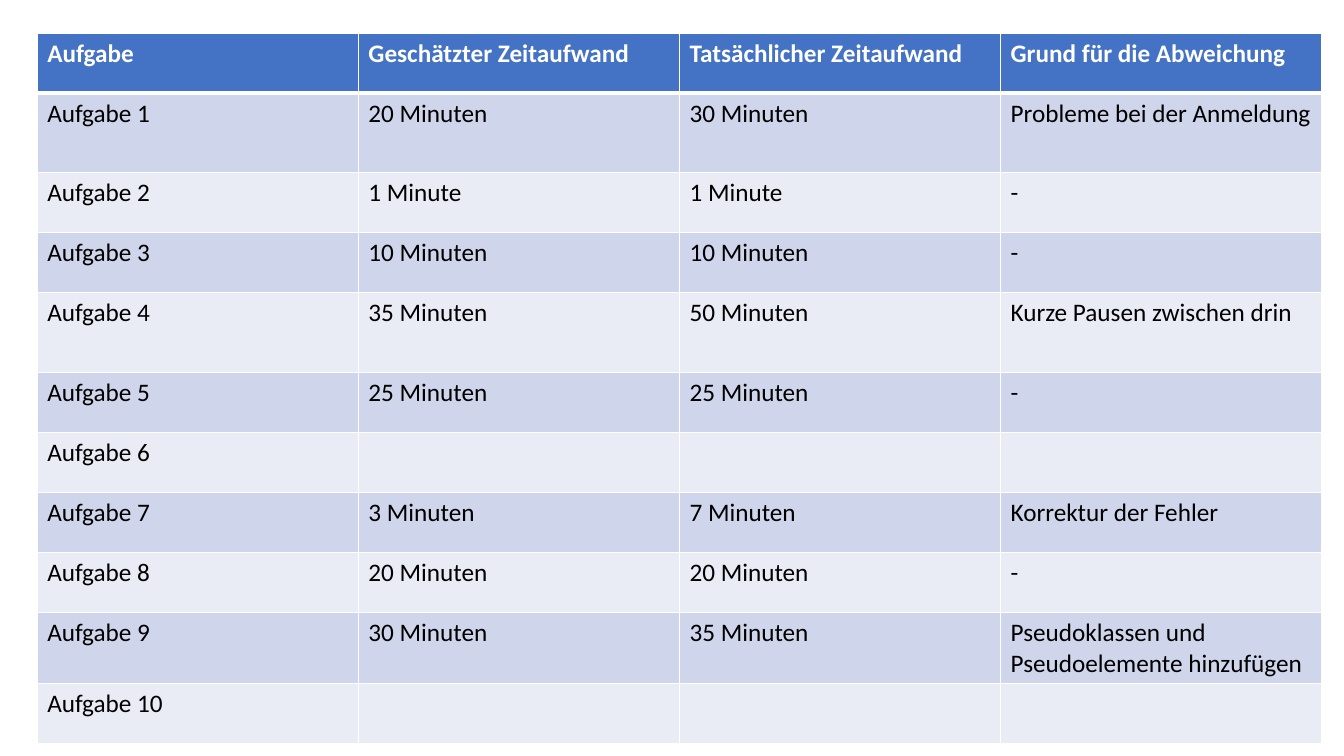
from dataclasses import dataclass

from lxml.etree import SubElement
from pptx import Presentation
from pptx.dml.color import RGBColor
from pptx.oxml.ns import qn
from pptx.table import _Cell
from pptx.util import Inches, Pt

COLORS = {
    "header": "4472C4",
    "band_dark": "CFD5EA",
    "band_light": "E9EBF5",
    "white": "FFFFFF",
    "black": "000000",
}
FONT = "Calibri"
TABLE_LEFT, TABLE_TOP, TABLE_WIDTH = 0.37, 0.33, 12.74
THIN, THICK = 1, 3


@dataclass
class TaskRow:
    task: str
    estimated: str = ""
    actual: str = ""
    reason: str = ""
    height: float = 0.595

    def texts(self) -> list[str]:
        return [self.task, self.estimated, self.actual, self.reason]


@dataclass
class CellStyle:
    fill: str
    text: str
    bold: bool = False
    top: int = THIN
    bottom: int = THIN


TASK_ROWS = [
    TaskRow("Aufgabe", "Geschätzter Zeitaufwand", "Tatsächlicher Zeitaufwand",
            "Grund für die Abweichung"),
    TaskRow("Aufgabe 1", "20 Minuten", "30 Minuten", "Probleme bei der Anmeldung", 0.79),
    TaskRow("Aufgabe 2", "1 Minute", "1 Minute", "-"),
    TaskRow("Aufgabe 3", "10 Minuten", "10 Minuten", "-"),
    TaskRow("Aufgabe 4", "35 Minuten", "50 Minuten", "Kurze Pausen zwischen drin", 0.79),
    TaskRow("Aufgabe 5", "25 Minuten", "25 Minuten", "-"),
    TaskRow("Aufgabe 6"),
    TaskRow("Aufgabe 7", "3 Minuten", "7 Minuten", "Korrektur der Fehler"),
    TaskRow("Aufgabe 8", "20 Minuten", "20 Minuten", "-"),
    TaskRow("Aufgabe 9", "30 Minuten", "35 Minuten",
            "Pseudoklassen und Pseudoelemente hinzufügen", 0.7),
    TaskRow("Aufgabe 10"),
]


def row_style(index: int) -> CellStyle:
    """Header first, then alternating bands."""
    if index == 0:
        return CellStyle("header", "white", bold=True, bottom=THICK)
    band = "band_dark" if index % 2 else "band_light"
    return CellStyle(band, "black", top=THICK if index == 1 else THIN)


def add_borders(cell: _Cell, style: CellStyle) -> None:
    """Borders precede the fill in the cell properties, so add them first."""
    properties = cell._tc.get_or_add_tcPr()
    widths = {"lnL": THIN, "lnR": THIN, "lnT": style.top, "lnB": style.bottom}
    for side, width in widths.items():
        line = SubElement(properties, qn(f"a:{side}"), w=str(Pt(width)))
        fill = SubElement(line, qn("a:solidFill"))
        SubElement(fill, qn("a:srgbClr"), val=COLORS["white"])


def fill_cell(cell: _Cell, text: str, style: CellStyle) -> None:
    add_borders(cell, style)
    cell.fill.solid()
    cell.fill.fore_color.rgb = RGBColor.from_string(COLORS[style.fill])
    if not text:
        return
    run = cell.text_frame.paragraphs[0].add_run()
    run.text = text
    run.font.name = FONT
    run.font.size = Pt(18)
    run.font.bold = style.bold
    run.font.color.rgb = RGBColor.from_string(COLORS[style.text])


def main() -> None:
    presentation = Presentation()
    presentation.slide_width = Inches(13.33)
    presentation.slide_height = Inches(7.5)
    slide = presentation.slides.add_slide(presentation.slide_layouts[6])

    # Table frame with equal columns
    column_count = len(TASK_ROWS[0].texts())
    total_height = sum(row.height for row in TASK_ROWS)
    effort_table = slide.shapes.add_table(
        len(TASK_ROWS), column_count, Inches(TABLE_LEFT), Inches(TABLE_TOP),
        Inches(TABLE_WIDTH), Inches(total_height)).table
    for column in effort_table.columns:
        column.width = Inches(TABLE_WIDTH / column_count)

    # Header and tasks
    for index, task_row in enumerate(TASK_ROWS):
        effort_table.rows[index].height = Inches(task_row.height)
        for column_index, text in enumerate(task_row.texts()):
            fill_cell(effort_table.cell(index, column_index), text, row_style(index))

    presentation.save("out.pptx")


if __name__ == "__main__":
    main()
